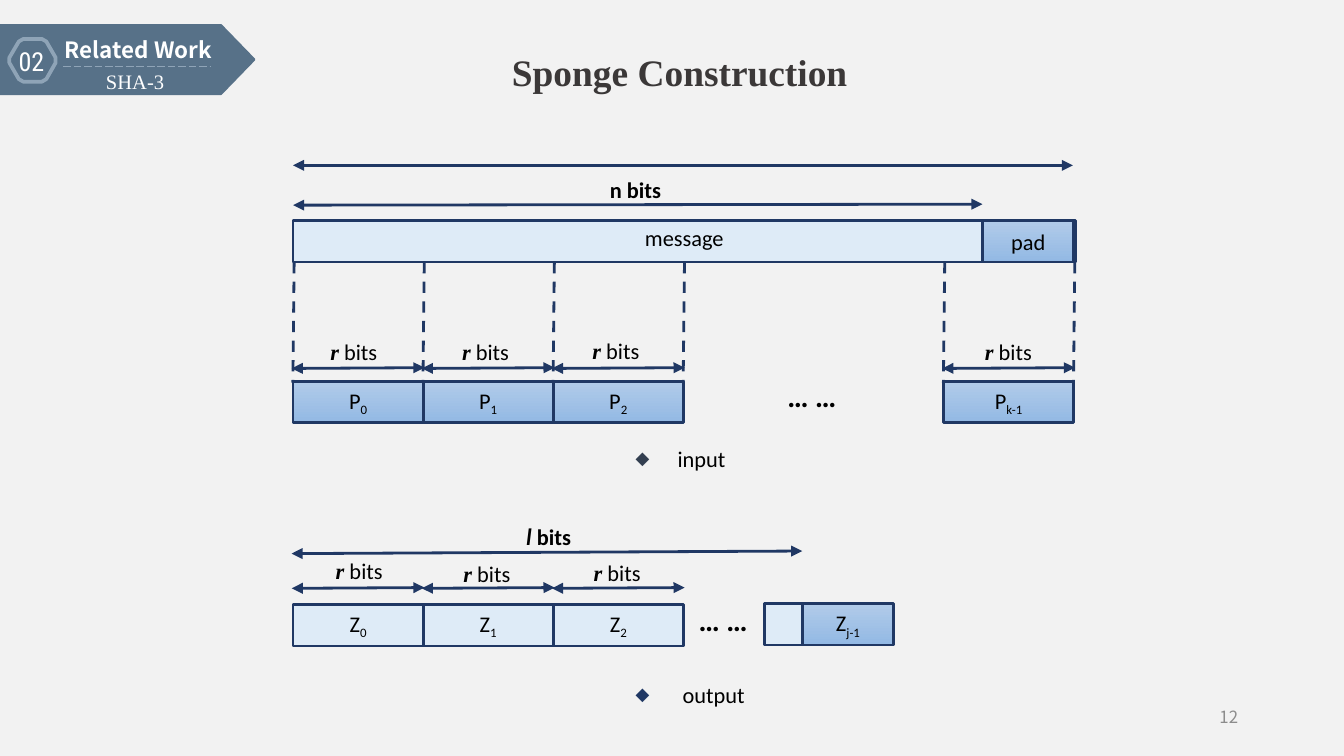
from lxml import etree
from pptx import Presentation
from pptx import util as u
from pptx.dml.color import RGBColor
from pptx.enum import dml, shapes, text
from pptx.oxml.ns import qn

NAVY, PALE, STEEL, MIST = "203864", "DEEBF7", "577188", "8FA4B7"
BLUES = ("B1CBE9", "93B9E4")
SERIF, CJK = "Times New Roman", "Noto Sans CJK SC"
LEFT, PITCH, CELL_HEIGHT = 157, 69.7, 22.3
R_BITS = [("r", dict(name=SERIF, bold=True, italic=True)), (" bits", {})]


def color(value):
    return RGBColor.from_string(value)


def column_left(column):
    return LEFT + PITCH * column


def add_element(parent, tag, **attributes):
    return etree.SubElement(parent, qn(tag), attributes)


class Diagram:
    """Holds the text style and the slide being drawn."""

    base = dict(name="Calibri", size=12, color="000000")

    def __init__(self, slide):
        self.slide = slide

    def add_runs(self, paragraph, runs):
        """Adds (text, format) runs; a format may hold a baseline shift."""
        for content, changes in runs:
            run = paragraph.add_run()
            run.text = content
            values = {**self.base, **changes}
            run.font.color.rgb = color(values.pop("color"))
            run.font.size = u.Pt(values.pop("size"))
            baseline = values.pop("baseline", None)
            for name, value in values.items():
                setattr(run.font, name, value)
            if baseline:
                run._r.get_or_add_rPr().set("baseline", str(baseline))

    def label(self, left, top, width, runs, align="LEFT", bullet=None, indent=0):
        box = self.slide.shapes.add_textbox(*map(u.Pt, (left, top, width, 21.6)))
        frame = box.text_frame
        frame.word_wrap = True
        if align == "LEFT":
            frame.margin_right = 0
        paragraph = frame.paragraphs[0]
        paragraph.alignment = getattr(text.PP_ALIGN, align)
        if bullet:
            properties = paragraph._p.get_or_add_pPr()
            for name, value in (("marL", indent), ("indent", -indent)):
                properties.set(name, str(u.Pt(value)))
            bullet_color = add_element(properties, "a:buClr")
            add_element(bullet_color, "a:srgbClr", val=bullet)
            add_element(properties, "a:buSzPct", val="80000")
            add_element(properties, "a:buFont", typeface="Calibri")
            add_element(properties, "a:buChar", char="◆")
        self.add_runs(paragraph, runs)

    def outline(self, shape, line, width):
        shape.shadow.inherit = False
        shape.line.color.rgb = color(line)
        shape.line.width = u.Pt(width)

    def box(self, left, top, width, fill, runs=(), height=CELL_HEIGHT,
            kind="RECTANGLE", line=NAVY, line_width=1.5):
        shape = self.slide.shapes.add_shape(
            getattr(shapes.MSO_SHAPE, kind), *map(u.Pt, (left, top, width, height)))
        self.outline(shape, line, line_width)
        if isinstance(fill, tuple):
            shape.fill.gradient()
            shape.fill.gradient_angle = 270
            for stop, value in zip(shape.fill.gradient_stops, fill):
                stop.color.rgb = color(value)
        else:
            shape.fill.solid()
            shape.fill.fore_color.rgb = color(fill)
        frame = shape.text_frame
        frame.vertical_anchor = text.MSO_ANCHOR.MIDDLE
        frame.paragraphs[0].alignment = text.PP_ALIGN.CENTER
        self.add_runs(frame.paragraphs[0], runs)
        return shape

    def block(self, left, top, width, fill, letter, subscript):
        self.box(left, top, width, fill,
                 [(letter, {}), (subscript, dict(baseline=-25000))])

    def line(self, x1, y1, x2, y2, stroke=NAVY, width=1.5, dash=None, arrows=False):
        connector = self.slide.shapes.add_connector(
            shapes.MSO_CONNECTOR.STRAIGHT, *map(u.Pt, (x1, y1, x2, y2)))
        connector.line.color.rgb = color(stroke)
        connector.line.width = u.Pt(width)
        if dash:
            connector.line.dash_style = getattr(dml.MSO_LINE, dash)
        if arrows:
            outline = connector._element.spPr.find(qn("a:ln"))
            for end in ("a:headEnd", "a:tailEnd"):
                add_element(outline, end, type="triangle")
        add_element(connector._element.spPr, "a:effectLst")

    def hexagon(self, corners, line, width, cut=0.12):
        """Draws a closed outline whose corners are cut off by a share of each side."""
        points = []
        for (x1, y1), (x2, y2) in zip(corners, corners[1:] + corners[:1]):
            for share in (cut, 1 - cut):
                points.append((u.Pt(x1 + (x2 - x1) * share),
                               u.Pt(y1 + (y2 - y1) * share)))
        builder = self.slide.shapes.build_freeform(*points[0])
        builder.add_line_segments(points[1:], close=True)
        shape = builder.convert_to_shape()
        shape.fill.background()
        self.outline(shape, line, width)


def draw_header(diagram):
    banner = diagram.box(0, 13.4, 136.4, STEEL, height=37, kind="PENTAGON",
                         line=STEEL, line_width=1)
    banner.adjustments[0] = 0.485
    diagram.label(17.2, 15.8, 113.8,
                  [("Related Work", dict(name=CJK, bold=True, color="FFFFFF"))], "CENTER")
    diagram.hexagon([(4.2, 32.3), (10.9, 20.9), (24, 20.9),
                     (30.6, 32.3), (24, 43.8), (10.9, 43.8)], MIST, 2)
    diagram.label(0, 20.9, 33.8,
                  [("02", dict(name="Roboto Condensed", size=14, color="FFFFFF"))], "CENTER")
    diagram.line(33.8, 35.7, 112.5, 35.7, MIST, 0.5, "LONG_DASH")
    diagram.label(49.7, 33.2, 48.2, [("SHA-3", dict(name=SERIF, size=11, color="FFFFFF"))])
    diagram.label(256.2, 23, 216,
                  [("Sponge Construction",
                    dict(name=SERIF, size=20, bold=True, color="3B3838"))], "CENTER")


def draw_row(diagram, letter, top, arrow_top, fill, cells):
    """Draws the r-bit blocks, each with its measure and label."""
    for column, subscript, label_left, label_top in cells:
        left = column_left(column)
        diagram.block(left, top, PITCH, fill, letter, subscript)
        diagram.line(left - 0.7, arrow_top + 0.4, left + PITCH + 0.7, arrow_top,
                     arrows=True)
        diagram.label(label_left, label_top, 42, R_BITS)


def draw_input(diagram):
    diagram.box(LEFT, 118.1, 419, PALE)
    diagram.box(526.3, 118.1, 49, BLUES, [("pad", {})])
    diagram.label(338.4, 116.6, 62, [("message", {})])
    diagram.line(LEFT, 88.6, 574.8, 88.6, arrows=True)
    diagram.line(LEFT, 109.9, 526.3, 109.4, arrows=True)
    diagram.label(319.7, 90.7, 44, [("n bits", dict(bold=True))])
    for column in (0, 1, 2, 3, 5, 6):
        x = column_left(column)
        diagram.line(x + 0.6, 140.4, x - 0.1, 205, dash="DASH")
    draw_row(diagram, "P", 204.2, 197, BLUES,
             [(0, "0", 169.9, 177.8), (1, "1", 240.5, 177.8),
              (2, "2", 310.3, 177.1), (5, "k-1", 520.6, 177.8)])
    diagram.label(414.7, 198.7, 41, [("… …", dict(size=16, bold=True))])
    diagram.label(333.4, 234.7, 70.6, [("input", {})], bullet="333F50", indent=22.5)


def draw_output(diagram):
    diagram.line(156.2, 296.6, 429.8, 295.2, arrows=True)
    diagram.label(275, 276.5, 67,
                  [("l", dict(name="Lato", bold=True, italic=True)),
                   (" bits", dict(bold=True))])
    draw_row(diagram, "Z", 323.8, 314.8, PALE,
             [(0, "0", 172.8, 295.2), (1, "1", 241.2, 296.6), (2, "2", 311, 295.9)])
    diagram.label(367.2, 319, 41, [("… …", dict(size=16, bold=True))])
    diagram.block(429.8, 323.3, 49, BLUES, "Z", "j-1")
    diagram.box(409.7, 323.3, 20.1, PALE)
    diagram.label(333.4, 361.4, 72.7, [("output", {})], bullet=NAVY, indent=25.2)


def main():
    presentation = Presentation()
    presentation.slide_width, presentation.slide_height = u.Pt(720), u.Pt(405)
    slide = presentation.slides.add_slide(presentation.slide_layouts[6])
    slide.background.fill.solid()
    slide.background.fill.fore_color.rgb = color("F2F2F2")
    diagram = Diagram(slide)
    draw_header(diagram)
    draw_input(diagram)
    draw_output(diagram)
    diagram.label(508.3, 375.1, 162,
                  [("12", dict(name=CJK, size=9, color="8C8C8C"))], "RIGHT")
    presentation.save("out.pptx")


if __name__ == "__main__":
    main()
